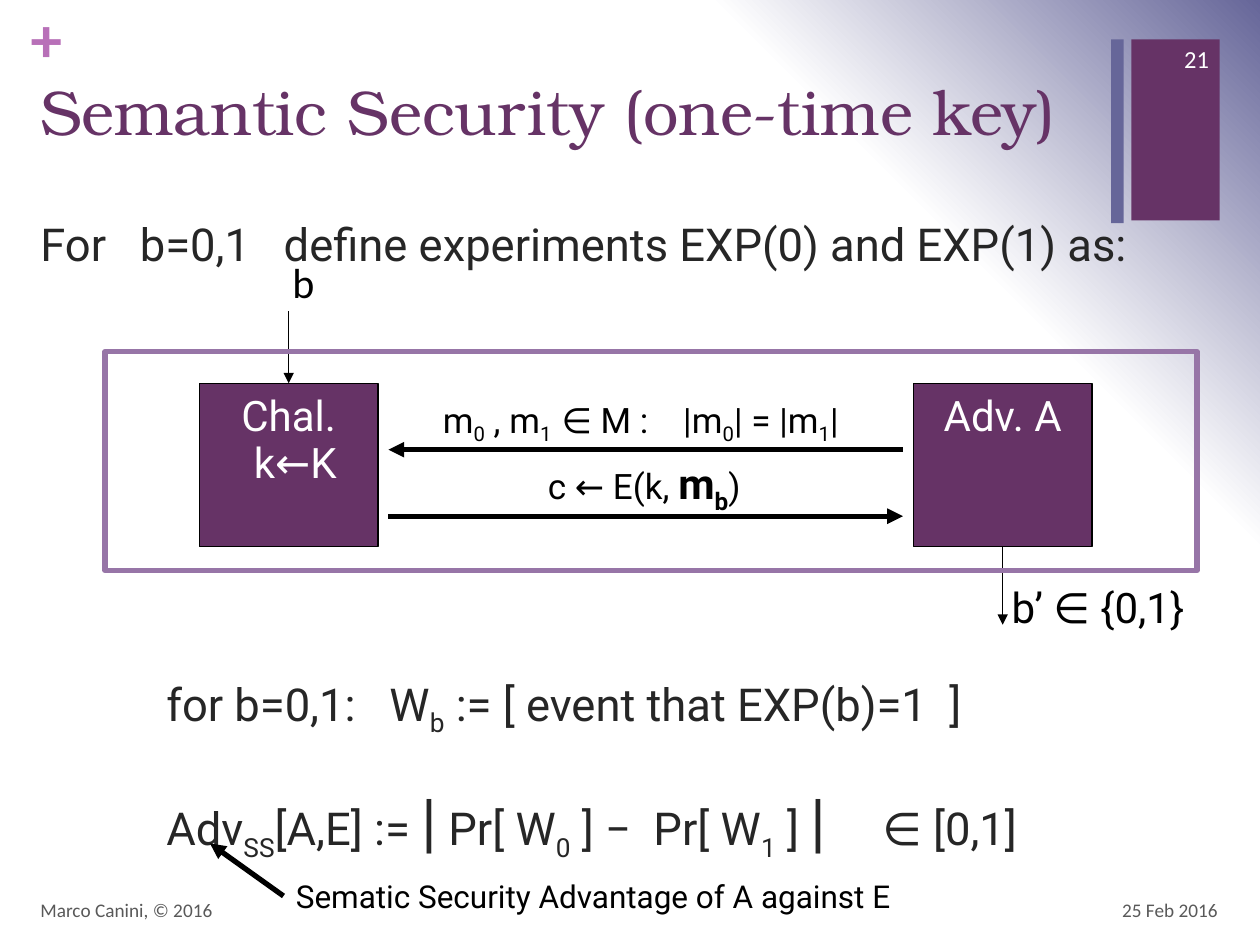
"""Build the slide that defines semantic security for a one-time key."""
from lxml import etree
from pptx import Presentation
from pptx.dml.color import RGBColor
from pptx.enum.shapes import MSO_CONNECTOR, MSO_SHAPE
from pptx.enum.text import MSO_ANCHOR, PP_ALIGN
from pptx.oxml import parse_xml
from pptx.oxml.ns import nsdecls, qn
from pptx.util import Pt

RECT = MSO_SHAPE.RECTANGLE
STRAIGHT = MSO_CONNECTOR.STRAIGHT
TOP, MIDDLE = MSO_ANCHOR.TOP, MSO_ANCHOR.MIDDLE
LEFT, CENTER, RIGHT = PP_ALIGN.LEFT, PP_ALIGN.CENTER, PP_ALIGN.RIGHT

COLORS = {
    "plum": "663366",
    "slate": "666699",
    "orchid": "B870B8",
    "frame": "9775A7",
    "text": "262626",
    "footer": "595959",
    "black": "000000",
    "white": "FFFFFF",
}


def rgb(name):
    """Return the named colour."""
    return RGBColor.from_string(COLORS[name])


def sub(text):
    """Return a subscript run."""
    return text, {"base": -25000}


def add_text(tf, runs, new=False, font="Roboto", size=24, color="black", bold=False,
             align=LEFT, before=None, spacing=None, indent=0):
    """Write one paragraph of plain strings and (text, format) runs."""
    p = tf.add_paragraph() if new else tf.paragraphs[0]
    p.alignment = align
    if indent:
        p._p.get_or_add_pPr().set("marL", str(Pt(indent)))
    if before:
        p.space_before = Pt(before)
    if spacing:
        p.line_spacing = spacing
    for run in [runs] if isinstance(runs, str) else runs:
        text, fmt = (run, {}) if isinstance(run, str) else run
        r = p.add_run()
        r.text = text
        r.font.name = font
        r.font.size = Pt(fmt.get("size", size))
        r.font.bold = fmt.get("bold", bold)
        r.font.color.rgb = rgb(color)
        if "base" in fmt:
            r._r.get_or_add_rPr().set("baseline", str(fmt["base"]))


def add_box(s, x, y, w, h, runs, anchor=TOP, wrap=True, inset=True, **fmt):
    """Add a text box and return its text frame."""
    tf = s.shapes.add_textbox(Pt(x), Pt(y), Pt(w), Pt(h)).text_frame
    tf.word_wrap = wrap
    tf.vertical_anchor = anchor
    if not inset:
        tf.margin_left = tf.margin_top = tf.margin_right = tf.margin_bottom = 0
    add_text(tf, runs, **fmt)
    return tf


def add_rect(s, x, y, w, h, fill=None, line=None, weight=0.75, text=None):
    """Add a rectangle with an optional fill, outline and label."""
    sp = s.shapes.add_shape(RECT, Pt(x), Pt(y), Pt(w), Pt(h))
    sp.shadow.inherit = False
    if fill:
        sp.fill.solid()
        sp.fill.fore_color.rgb = rgb(fill)
    else:
        sp.fill.background()
    if line:
        sp.line.color.rgb = rgb(line)
        sp.line.width = Pt(weight)
    else:
        sp.line.fill.background()
    if text:
        sp.text_frame.word_wrap = False
        sp.text_frame.vertical_anchor = TOP
        add_text(sp.text_frame, text, color="white", align=CENTER)
    return sp


def add_arrow(s, x1, y1, x2, y2, weight=3):
    """Add a straight arrow that points at its second end."""
    cx = s.shapes.add_connector(STRAIGHT, Pt(x1), Pt(y1), Pt(x2), Pt(y2))
    cx.line.color.rgb = rgb("black")
    cx.line.width = Pt(weight)
    etree.SubElement(cx.line._get_or_add_ln(), qn("a:tailEnd"), type="triangle")
    etree.SubElement(cx._element.spPr, qn("a:effectLst"))
    return cx


def set_background(s):
    """Shade the top right corner with a radial gradient."""
    stops = "".join(
        f'<a:gs pos="{pos}000"><a:srgbClr val="{COLORS[name]}"/></a:gs>'
        for pos, name in ((0, "white"), (75, "white"), (100, "slate")))
    s.background.fill.solid()
    solid = s._element.find(".//" + qn("a:solidFill"))
    solid.getparent().replace(solid, parse_xml(
        f'<a:gradFill {nsdecls("a")} rotWithShape="1"><a:gsLst>{stops}</a:gsLst>'
        '<a:path path="circle"><a:fillToRect t="100000" r="100000"/></a:path></a:gradFill>'))


def add_decor(s):
    """Add the corner bars, plus sign, page number and footers."""
    add_rect(s, 646.5, 22.5, 50.5, 103.5, fill="plum")
    add_rect(s, 635, 22.5, 7.2, 105, fill="slate")
    add_box(s, 17.5, 0, 21, 44, "+", inset=False, font="Calibri", size=36,
            color="orchid", bold=True)
    add_box(s, 654, 19, 44, 29, "21", anchor=MIDDLE, font="Calibri", size=14,
            color="white", align=RIGHT)
    footer = {"anchor": MIDDLE, "font": "Calibri", "size": 11, "color": "footer"}
    add_box(s, 16, 505.5, 482, 29, "Marco Canini, © 2016", **footer)
    add_box(s, 535, 505.5, 168, 29, "25 Feb 2016", align=RIGHT, **footer)


def add_statements(s):
    """Add the title and the definitions."""
    add_box(s, 16, 38, 618, 88, "Semantic Security (one-time key)",
            font="TeX Gyre Bonum", size=36, color="plum")
    style = {"size": 25.9, "color": "text", "spacing": 0.8}
    tf = add_box(s, 16, 126, 687, 379,
                 "For   b=0,1   define experiments EXP(0) and EXP(1) as:", **style)
    add_text(tf, ["for b=0,1:   W", sub("b"), " := [ event that EXP(b)=1  ]"],
             new=True, before=235, indent=72, **style)
    bar = "|", {"size": 37}
    add_text(tf, ["Adv", sub("SS"), "[A,E] := ", bar, " Pr[ W", sub("0"), " ] −  Pr[ W",
                  sub("1"), " ] ", bar, "     ∈ [0,1]"],
             new=True, before=36, indent=72, **style)


def add_experiment(s):
    """Add the challenger, the adversary and their messages."""
    y, w, h = 219, 102, 93.5
    chal_x, adv_x = 114, 522
    chal = add_rect(s, chal_x, y, w, h, "plum", "black", text="Chal.")
    adv = add_rect(s, adv_x, y, w, h, "plum", "black", text="Adv. A")
    add_box(s, 138, 246, 65, 36, "k←K", wrap=False, color="white")

    mid = chal_x + w / 2
    add_arrow(s, mid, 178, mid, y, weight=0.75).end_connect(chal, 0)
    add_box(s, 160, 143, 27, 36, "b", wrap=False, font="Calibri")
    mid = adv_x + w / 2
    add_arrow(s, mid, y + h, mid, 357, weight=0.75).begin_connect(adv, 2)
    add_box(s, 571, 329, 122, 37, "b’ ∈ {0,1}", wrap=False)

    left, right = chal_x + w + 6, adv_x - 6
    add_arrow(s, right, 257, left, 257)
    add_box(s, 246, 224, 272, 32,
            ["m", sub("0"), " , m", sub("1  "), "∈ M :    |m", sub("0"), "| = |m",
             sub("1"), "|"], wrap=False, size=20)
    add_arrow(s, left, 295, right, 295)
    big = {"size": 24, "bold": True}
    add_box(s, 306, 258, 139, 37,
            ["c ← E(k, ", ("m", big), ("b", {**big, "base": -25000}), ")"],
            wrap=False, size=20)
    add_rect(s, 60, 201, 624, 125, line="frame", weight=3)


def add_advantage_note(s):
    """Add the note that explains the advantage."""
    add_box(s, 162, 497.5, 355, 29, "Sematic Security Advantage of A against E",
            wrap=False, size=18)
    add_arrow(s, 162, 512, 120, 482)


def main():
    """Build and save the slide."""
    prs = Presentation()
    prs.slide_width, prs.slide_height = Pt(720), Pt(540)
    s = prs.slides.add_slide(prs.slide_layouts[6])
    set_background(s)
    add_decor(s)
    add_statements(s)
    add_experiment(s)
    add_advantage_note(s)
    prs.save("out.pptx")


if __name__ == "__main__":
    main()
